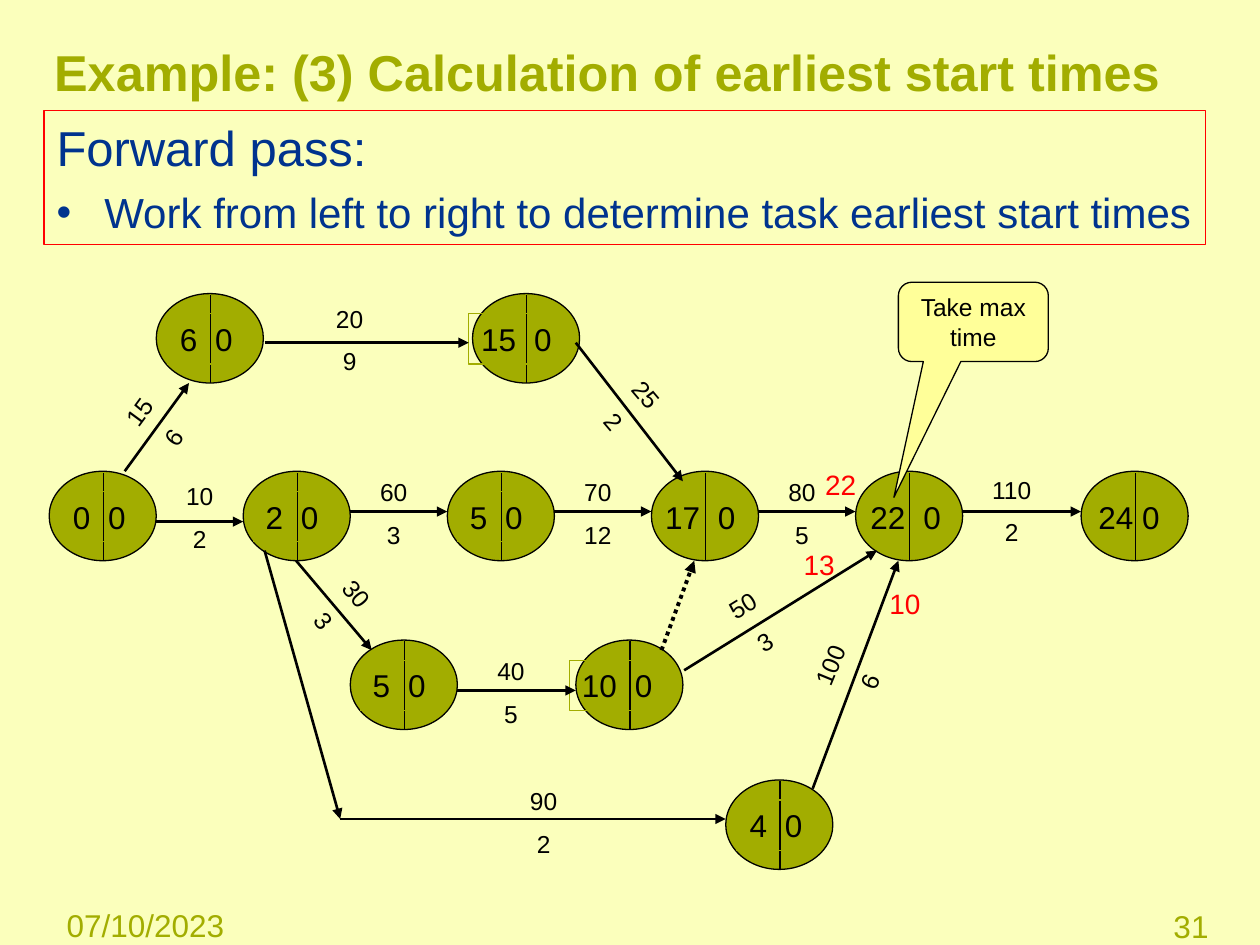
from dataclasses import dataclass

from lxml import etree
from pptx import Presentation
from pptx import util as u
from pptx.dml import color
from pptx.enum import dml, shapes, text
from pptx.oxml import ns

Inches, Pt = u.Inches, u.Pt
LEFT, CENTER, RIGHT = text.PP_ALIGN.LEFT, text.PP_ALIGN.CENTER, text.PP_ALIGN.RIGHT


@dataclass(frozen=True)
class Theme:
    """Colours, font and type sizes of the slide."""
    paper: str = "FBFFBC"
    olive: str = "A2AD00"
    navy: str = "00338E"
    ink: str = "000000"
    red: str = "FF0000"
    note: str = "FFFF99"
    font: str = "Arial"
    title: float = 28.8
    lead: float = 28
    bullet: float = 24
    node: float = 18
    time: float = 16
    task: float = 14


THEME = Theme()
NODES = [
    (0, 1.5, "0\t0", 0.09, True), (0.85, 0.09, "6\t0", 0.09, True),
    (1.54, 1.5, "2\t0", 0.08, True), (3.16, 1.5, "5\t0", 0.08, True),
    (4.78, 1.5, "17\t0", 0.01, False), (6.4, 1.5, "22\t0", 0.02, False),
    (8.19, 1.5, "24 0", 0.04, False), (3.36, 0.09, "15\t0", -0.03, True),
    (2.39, 2.84, "5\t0", 0.08, True), (4.18, 2.84, "10\t0", -0.05, True),
    (5.37, 3.95, "4\t0", 0.09, True),
]
ARROWS = [
    (0.6, 1.5, 1.11, 0.8), (1.71, 0.48, 3.33, 0.48), (0.85, 1.9, 1.54, 1.9),
    (2.39, 1.82, 3.16, 1.82), (1.96, 2.21, 2.56, 2.92), (1.71, 2.13, 2.31, 4.26),
    (2.31, 4.26, 5.37, 4.26), (3.24, 3.24, 4.18, 3.24), (4.18, 0.48, 5.03, 1.58),
    (4.01, 1.82, 4.78, 1.82), (5.63, 1.82, 6.4, 1.82), (7.25, 1.82, 8.19, 1.82),
    (5.04, 3.08, 6.57, 2.13), (6.06, 4.02, 6.74, 2.21),
]
DUMMY_TASK = (4.86, 2.92, 5.12, 2.21)
TASKS = [
    (0.6, 0.79, "15", "6", 306.3), (2.13, 0.12, "20", "9", 0),
    (0.94, 1.53, "10", "2", 0), (2.48, 1.5, "60", "3", 0),
    (2.05, 2.24, "30", "3", 50.5), (3.67, 3.95, "90", "2", 0),
    (3.41, 2.92, "40", "5", 0), (4.35, 0.66, "25", "2", 49.7),
    (4.1, 1.5, "70", "12", 0), (5.72, 1.5, "80", "5", 0),
    (7.34, 1.48, "110", "2", 0), (5.34, 2.37, "50", "3", 328.5),
    (6.06, 2.76, "100", "6", 292.2),
]
TIMES = [(6.06, 1.42, "22"), (5.89, 2.06, "13"), (6.57, 2.37, "10")]


def rgb(value):
    """Return a colour from its hex value."""
    return color.RGBColor.from_string(value)


def assign(target, **values):
    """Set each named attribute on the target."""
    for name, value in values.items():
        setattr(target, name, value)


def place(target, box):
    """Move the target to a box given in inches."""
    assign(target, **dict(zip(("left", "top", "width", "height"), map(Inches, box))))


def paint(target, fill=None, line=None, width=0.75):
    """Set fill and outline, either of which may be absent."""
    if fill:
        target.fill.solid()
        target.fill.fore_color.rgb = rgb(fill)
    else:
        target.fill.background()
    if line:
        target.line.color.rgb = rgb(line)
        target.line.width = Pt(width)
    else:
        target.line.fill.background()


def write(frame, lines, size, ink, align=LEFT, bold=False, gap=0,
          anchor=text.MSO_ANCHOR.TOP, **margins):
    """Write lines into a text frame in one style."""
    assign(frame, word_wrap=True, auto_size=text.MSO_AUTO_SIZE.NONE,
           vertical_anchor=anchor, **margins)
    frame.text = "\n".join(lines)
    for index, paragraph in enumerate(frame.paragraphs):
        paragraph.alignment = align
        if index:
            paragraph.space_before = Pt(gap)
        for run in paragraph.runs:
            assign(run.font, name=THEME.font, size=Pt(size), bold=bold)
            run.font.color.rgb = rgb(ink)


def add_text(slide, box, lines, size, ink, **style):
    """Add a text box and return it."""
    label = slide.shapes.add_textbox(*map(Inches, box))
    write(label.text_frame, lines, size, ink, **style)
    return label


def add_shape(slide, kind, box, **colours):
    """Add a preset shape without shadow and return it."""
    shape = slide.shapes.add_shape(kind, *map(Inches, box))
    shape.shadow.inherit = False
    paint(shape, **colours)
    return shape


def add_line(slide, ends, width=0.75, head=False, dash=None):
    """Add a straight line, with an arrowhead if asked."""
    line = slide.shapes.add_connector(shapes.MSO_CONNECTOR.STRAIGHT, *map(Inches, ends))
    line.line.color.rgb = rgb(THEME.ink)
    line.line.width = Pt(width)
    if dash:
        line.line.dash_style = dash
    if head:
        outline = line._element.spPr.find(ns.qn("a:ln"))
        etree.SubElement(outline, ns.qn("a:tailEnd"), type="triangle")
    etree.SubElement(line._element.spPr, ns.qn("a:effectLst"))


def add_title(slide, box):
    """Format the title placeholder."""
    title = slide.shapes.title
    place(title, box)
    paint(title, fill=THEME.paper)
    write(title.text_frame, ["Example: (3) Calculation of earliest start times"],
          THEME.title, THEME.olive, bold=True, anchor=text.MSO_ANCHOR.MIDDLE, margin_left=0)


def add_rule(slide, box):
    """Add the framed forward-pass rule."""
    frame = add_shape(slide, shapes.MSO_SHAPE.RECTANGLE, box, line=THEME.red).text_frame
    write(frame, ["Forward pass:", "Work from left to right to determine task earliest start times"],
          THEME.lead, THEME.navy, gap=6)
    bullet = frame.paragraphs[1]
    properties = bullet._p.get_or_add_pPr()
    assign(bullet.runs[0].font, size=Pt(THEME.bullet))
    for name, value in {"marL": Inches(0.38), "indent": -Inches(0.38)}.items():
        properties.set(name, str(value))
    etree.SubElement(properties, ns.qn("a:buFont"), typeface=THEME.font)
    etree.SubElement(properties, ns.qn("a:buChar"), char="•")


def add_node(slide, left, top, times, inset, framed):
    """Add an event node with its earliest and latest times."""
    add_shape(slide, shapes.MSO_SHAPE.OVAL, (left, top, 0.85, 0.71),
              fill=THEME.olive, line=THEME.ink)
    add_line(slide, (left + 0.43, top + 0.71, left + 0.43, top + 0.01))
    digits = len(times.split()[0])
    pair = add_text(slide, (left + inset, top + 0.16, 0.48 + 0.14 * digits, 0.4), [times],
                    THEME.node, THEME.ink, margin_right=0)
    paint(pair, line=THEME.olive if framed else None)
    if "\t" in times:
        tabs = etree.SubElement(pair.text_frame.paragraphs[0]._p.get_or_add_pPr(), ns.qn("a:tabLst"))
        etree.SubElement(tabs, ns.qn("a:tab"), pos=str(Inches(0.14 + 0.14 * digits)), algn="l")


def add_network(slide, box):
    """Add the activity network with its callout."""
    x, y, _, _ = box
    for left, top, *details in NODES:
        add_node(slide, x + left, y + top, *details)
    for x1, y1, x2, y2 in ARROWS:
        add_line(slide, (x + x1, y + y1, x + x2, y + y2), 1.5, head=True)
    x1, y1, x2, y2 = DUMMY_TASK
    add_line(slide, (x + x1, y + y1, x + x2, y + y2), 2.25, head=True,
             dash=dml.MSO_LINE.ROUND_DOT)
    for left, top, number, duration, angle in TASKS:
        width = 0.6 if len(number) == 3 else 0.51
        task = add_text(slide, (x + left, y + top, width, 0.69), [number, duration],
                        THEME.task, THEME.ink, align=CENTER, gap=7.5)
        task.rotation = angle
    for left, top, time in TIMES:
        add_text(slide, (x + left, y + top, 0.6, 0.37), [time], THEME.time, THEME.red)
    callout = add_shape(slide, shapes.MSO_SHAPE.ROUNDED_RECTANGULAR_CALLOUT,
                        (x + 6.74, y, 1.19, 0.63), fill=THEME.note, line=THEME.ink)
    for index, value in enumerate((-0.53, 2.21, 0.17)):
        callout.adjustments[index] = value
    write(callout.text_frame, ["Take max time"], THEME.task, THEME.ink, align=CENTER)


def add_footer(slide, box):
    """Add the date and the slide number at the two ends."""
    left, top, width, height = box
    add_text(slide, (left, top, 1.87, height), ["07/10/2023"], THEME.node, THEME.olive)
    add_text(slide, (left + width - 0.84, top + 0.01, 0.84, height), ["31"],
             THEME.node, THEME.olive, align=RIGHT)


def main():
    """Build and save the slide."""
    deck = Presentation()
    assign(deck, slide_width=Inches(10), slide_height=Inches(7.5))
    slide = deck.slides.add_slide(deck.slide_layouts[5])
    slide.background.fill.solid()
    slide.background.fill.fore_color.rgb = rgb(THEME.paper)
    add_footer(slide, (0.43, 7.14, 9.26, 0.36))
    add_title(slide, (0.43, 0.21, 9.25, 0.71))
    add_network(slide, (0.39, 2.24, 9.04, 4.66))
    add_rule(slide, (0.35, 0.88, 9.22, 1.06))
    deck.save("out.pptx")


if __name__ == "__main__":
    main()
